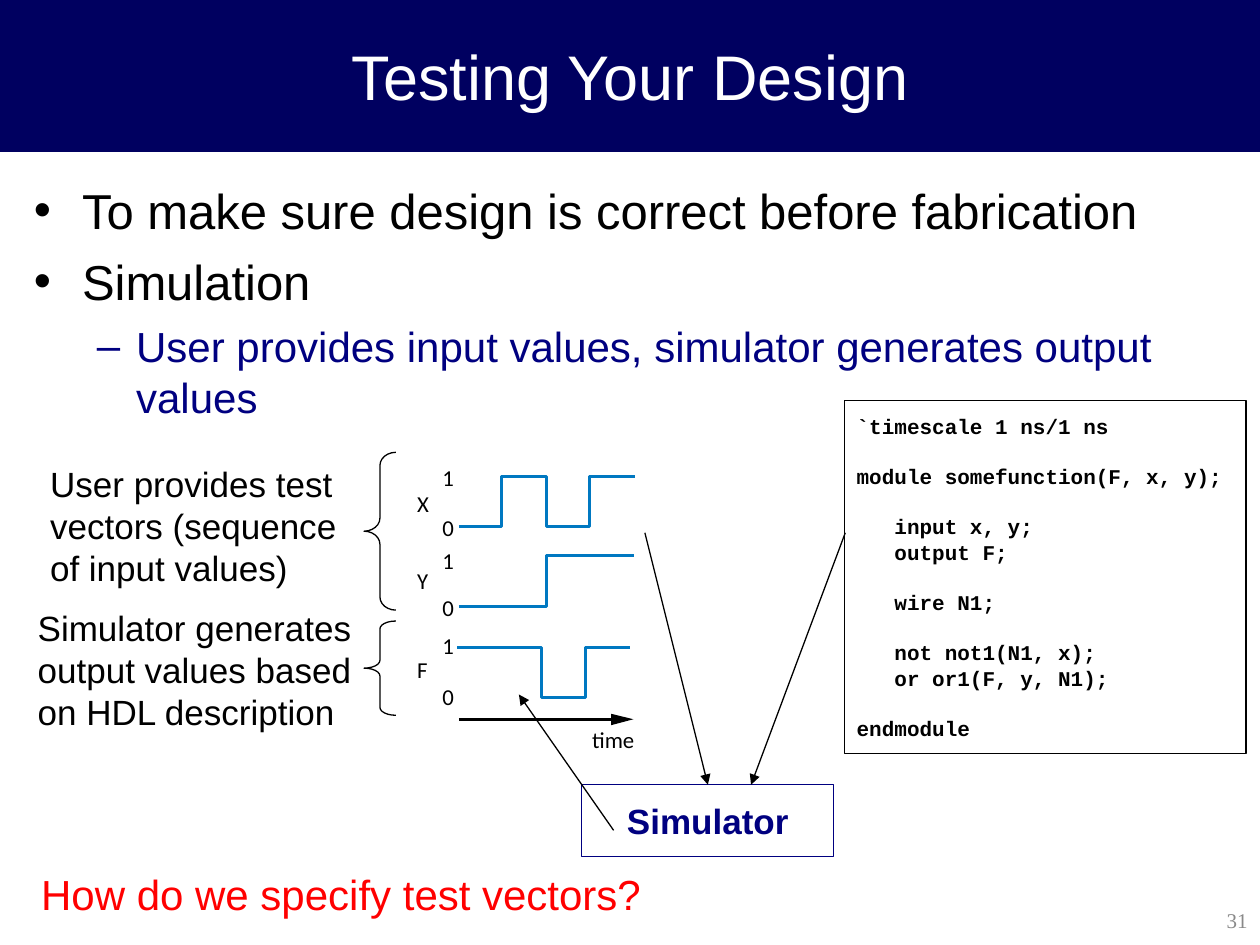
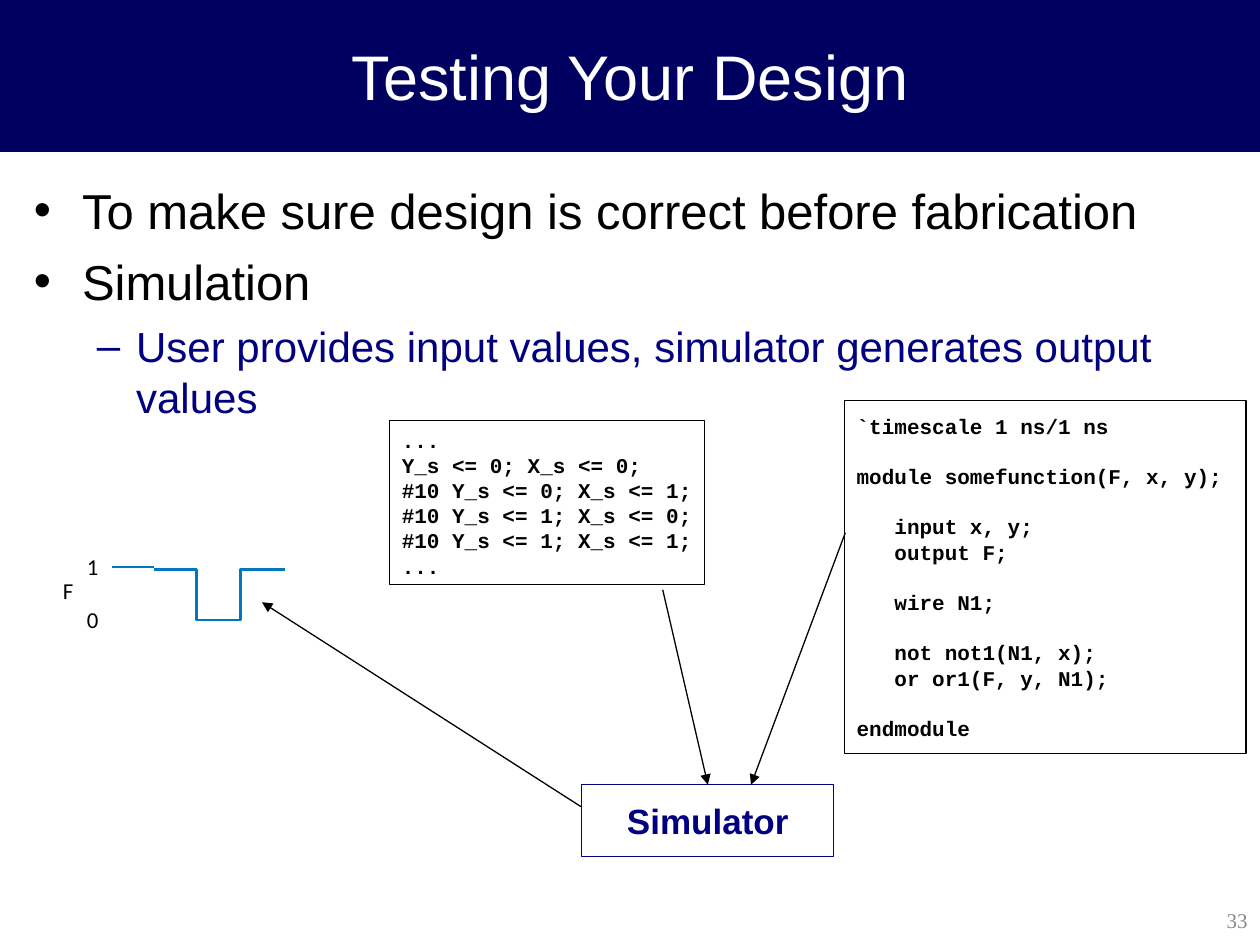
from lxml import etree
from pptx import Presentation
from pptx.dml.color import RGBColor
from pptx.enum.shapes import MSO_CONNECTOR, MSO_SHAPE
from pptx.enum.text import MSO_ANCHOR, MSO_AUTO_SIZE, PP_ALIGN
from pptx.oxml.ns import qn
from pptx.util import Cm, Pt

NAVY, INDIGO, BLACK, WHITE = "000060", "000080", "000000", "FFFFFF"
BLUE, RED, GREY = "0078C1", "FF0000", "898989"
THIN, THICK = Pt(0.75), Pt(1.62)

# Each style: font, size, colour, bold, alignment, anchor, wrap, side and top insets in cm
LEFT, TOP, MIDDLE = PP_ALIGN.LEFT, MSO_ANCHOR.TOP, MSO_ANCHOR.MIDDLE
STYLES = {
    "title": ("Arial", 36, WHITE, False, PP_ALIGN.CENTER, MIDDLE, True, 0.25, 0.13),
    "number": ("Times New Roman", 12, GREY, False, PP_ALIGN.RIGHT, MIDDLE, True, 0.25, 0.13),
    "module": ("Courier New", 12, BLACK, True, LEFT, TOP, True, 0.25, 0.25),
    "stimulus": ("Courier New", 12, BLACK, True, LEFT, TOP, False, 0.25, 0.13),
    "simulator": ("Arial", 20, INDIGO, True, PP_ALIGN.CENTER, MIDDLE, False, 0.25, 0.13),
    "remark": ("Arial", 20, BLACK, False, LEFT, TOP, True, 0.25, 0.13),
    "question": ("Arial", 24, RED, False, LEFT, TOP, True, 0.25, 0.13),
    "signal": ("Calibri", 13, BLACK, False, LEFT, TOP, False, 0, 0),
}

TITLE = "Testing Your Design"
BULLETS = [  # text, level, size, colour, space before, left margin, hanging indent
    ("To make sure design is correct before fabrication", 0, 28, BLACK, 0, 0.97, 0.97),
    ("Simulation", 0, 28, BLACK, 7, 0.97, 0.97),
    ("User provides input values, simulator generates output values",
     1, 24, INDIGO, 6, 2.06, 0.79),
]
MODULE_CODE = """`timescale 1 ns/1 ns

module somefunction(F, x, y);

   input x, y;
   output F;

   wire N1;

   not not1(N1, x);
   or or1(F, y, N1);

endmodule"""
STIMULUS_CODE = """...
Y_s <= 0; X_s <= 0;
#10 Y_s <= 0; X_s <= 1;
#10 Y_s <= 1; X_s <= 0;
#10 Y_s <= 1; X_s <= 1;
..."""

SIMULATOR_BOX = ("Simulator", "simulator", INDIGO, 11.73, 15.82, 5.08, 1.45)
MODULE_BOX = (MODULE_CODE, "module", BLACK, 17.02, 8.08, 8.1, 7.11)
MODULE_ARROW = (17.04, 10.74, 15.14, 15.82)

PAGES = [
    {
        "boxes": [SIMULATOR_BOX, MODULE_BOX],
        "texts": [
            ("31", "number", 20.02, 18.03, 5.38, 1.02),
            ("User provides test vectors (sequence of input values)",
             "remark", 0.76, 9.19, 6.58, 2.79),
            ("Simulator generates output values based on HDL description",
             "remark", 0.51, 12.09, 7.44, 2.79),
            ("How do we specify test vectors?", "question", 0.58, 17.37, 19.08, 1.27),
        ],
        "labels": [
            ("X", 8.41, 9.88), ("1", 8.92, 9.35), ("0", 8.92, 10.36),
            ("Y", 8.41, 11.43), ("1", 8.92, 11.02), ("0", 8.92, 11.96),
            ("F", 8.41, 13.21), ("1", 8.92, 12.73), ("0", 8.92, 13.77),
            ("time", 11.94, 14.63),
        ],
        "traces": [  # edges of the steps, height of each step
            ((9.25, 10.11, 11.02, 11.89, 12.8), (10.62, 9.6, 10.62, 9.6)),
            ((9.25, 11.02, 12.78), (12.22, 11.2)),
            ((9.22, 10.92, 11.81, 12.7), (13.06, 14.07, 13.06)),
        ],
        "braces": [(9.12, 3.18), (12.52, 1.9)],
        "stimulus_arrow": (13, 10.74, 14.27, 15.82),
        "output_arrow": (12.37, 16.74, 10.46, 14),
        "time_axis": (9.25, 14.5, 12.42, 14.5),
    },
    {
        "boxes": [SIMULATOR_BOX, MODULE_BOX,
                  (STIMULUS_CODE, "stimulus", BLACK, 7.85, 8.48, 6.35, 3.3)],
        "texts": [("33", "number", 20.02, 18.03, 5.38, 1.02)],
        "labels": [("F", 1.27, 11.63), ("1", 1.75, 11.15), ("0", 1.75, 12.22)],
        "traces": [
            ((2.26, 3.1), (11.43,)),
            ((3.1, 3.96, 4.85, 5.74), (11.48, 12.5, 11.48)),
        ],
        "braces": [],
        "stimulus_arrow": (13.36, 11.89, 14.27, 15.82),
        "output_arrow": (11.71, 16.26, 5.28, 12.14),
        "time_axis": None,
    },
]


def paint(fill, color):
    fill.solid()
    fill.fore_color.rgb = RGBColor.from_string(color)


def write(shape, text, style):
    """Fill a shape with styled lines; an empty line becomes space before the next one."""
    font_name, size, color, bold, align, anchor, wrap, side, top = STYLES[style]
    frame = shape.text_frame
    frame_format = {
        "word_wrap": wrap, "auto_size": MSO_AUTO_SIZE.NONE, "vertical_anchor": anchor,
        "margin_left": Cm(side), "margin_right": Cm(side),
        "margin_top": Cm(top), "margin_bottom": Cm(top),
    }
    for name, value in frame_format.items():
        setattr(frame, name, value)
    para, gap = frame.paragraphs[0], 0
    for index, line in enumerate(text.split("\n")):
        if not line:
            gap += size * 1.2
            continue
        if index:
            para = frame.add_paragraph()
        para.alignment = align
        para.space_before = Pt(gap)
        if style != "signal":
            para.line_spacing = Pt(size * 1.2)
        span = para.add_run()
        span.text = line
        for name, value in {"name": font_name, "size": Pt(size), "bold": bold}.items():
            setattr(span.font, name, value)
        paint(span.font.fill, color)
        gap = 0


deck = Presentation()
deck.slide_width, deck.slide_height = Cm(25.4), Cm(19.05)
layout = deck.slide_layouts[1]
placeholder_places = [(0, 0, 25.4, 3.05), (0.43, 3.51, 24.54, 14.53)]
for holder, place in zip(layout.placeholders, placeholder_places):
    for name, value in zip(("left", "top", "width", "height"), place):
        setattr(holder, name, Cm(value))

for page_number, content in enumerate(PAGES):
    page = deck.slides.add_slide(layout)
    shapes = page.shapes

    # The title band is moved to the layout once, behind its placeholders
    if page_number == 0:
        band = shapes.add_shape(MSO_SHAPE.RECTANGLE, 0, 0, Cm(25.4), Cm(3.05))
        band.shadow.inherit = False
        paint(band.fill, NAVY)
        paint(band.line.fill, NAVY)
        band.line.width = THIN
        layout.shapes.element.insert(2, band.element)

    write(shapes.title, TITLE, "title")
    body = page.placeholders[1].text_frame
    body.auto_size = MSO_AUTO_SIZE.NONE
    for index, (text, level, size, color, before, margin, hanging) in enumerate(BULLETS):
        para = body.add_paragraph() if index else body.paragraphs[0]
        para.text = text
        para_format = {"level": level, "space_before": Pt(before),
                       "line_spacing": Pt(size * 1.2)}
        for name, value in para_format.items():
            setattr(para, name, value)
        properties = para._p.get_or_add_pPr()
        properties.set("marL", str(Cm(margin)))
        properties.set("indent", str(-Cm(hanging)))
        span = para.runs[0]
        span.font.name, span.font.size = "Arial", Pt(size)
        paint(span.font.fill, color)

    boxes = {}
    for text, style, color, *place in content["boxes"]:
        box = shapes.add_shape(MSO_SHAPE.RECTANGLE, *map(Cm, place))
        box.shadow.inherit = False
        if style == "simulator":
            paint(box.fill, WHITE)
        else:
            box.fill.background()
        paint(box.line.fill, color)
        box.line.width = THIN
        write(box, text, style)
        boxes[style] = box

    labels = [(text, "signal", x, y, 0.25 * len(text), 0.56)
              for text, x, y in content["labels"]]
    for text, style, *place in content["texts"] + labels:
        write(shapes.add_textbox(*map(Cm, place)), text, style)

    for edges, levels in content["traces"]:
        points = [(Cm(x), Cm(level)) for start, end, level in zip(edges, edges[1:], levels)
                  for x in (start, end)]
        builder = shapes.build_freeform(*points[0])
        builder.add_line_segments(points[1:], close=False)
        trace = builder.convert_to_shape()
        trace.shadow.inherit = False
        trace.fill.background()
        paint(trace.line.fill, BLUE)
        trace.line.width = THICK

    for top, height in content["braces"]:
        brace = shapes.add_shape(MSO_SHAPE.LEFT_BRACE, Cm(7.34), Cm(top), Cm(0.64), Cm(height))
        brace.adjustments[0] = height / 12 / 0.64
        brace.shadow.inherit = False
        brace.fill.background()
        paint(brace.line.fill, BLACK)
        brace.line.width = THIN

    lines = [MODULE_ARROW, content["stimulus_arrow"], content["output_arrow"],
             content["time_axis"]]
    for ends in filter(None, lines):
        connector = shapes.add_connector(MSO_CONNECTOR.STRAIGHT, *map(Cm, ends))
        paint(connector.line.fill, BLACK)
        etree.SubElement(connector.element.spPr, qn("a:effectLst"))
        if ends == content["time_axis"]:
            connector.line.width = THICK
            continue
        connector.line.width = THIN
        etree.SubElement(connector.line._get_or_add_ln(), qn("a:tailEnd"), type="triangle")
        if ends == content["stimulus_arrow"]:
            connector.end_connect(boxes["simulator"], 0)

    if content["time_axis"]:
        builder = shapes.build_freeform(Cm(12.77), Cm(14.5))
        builder.add_line_segments([(Cm(12.32), Cm(14.39)), (Cm(12.32), Cm(14.62))])
        arrowhead = builder.convert_to_shape()
        arrowhead.shadow.inherit = False
        paint(arrowhead.fill, BLACK)
        arrowhead.line.fill.background()

deck.save("out.pptx")
